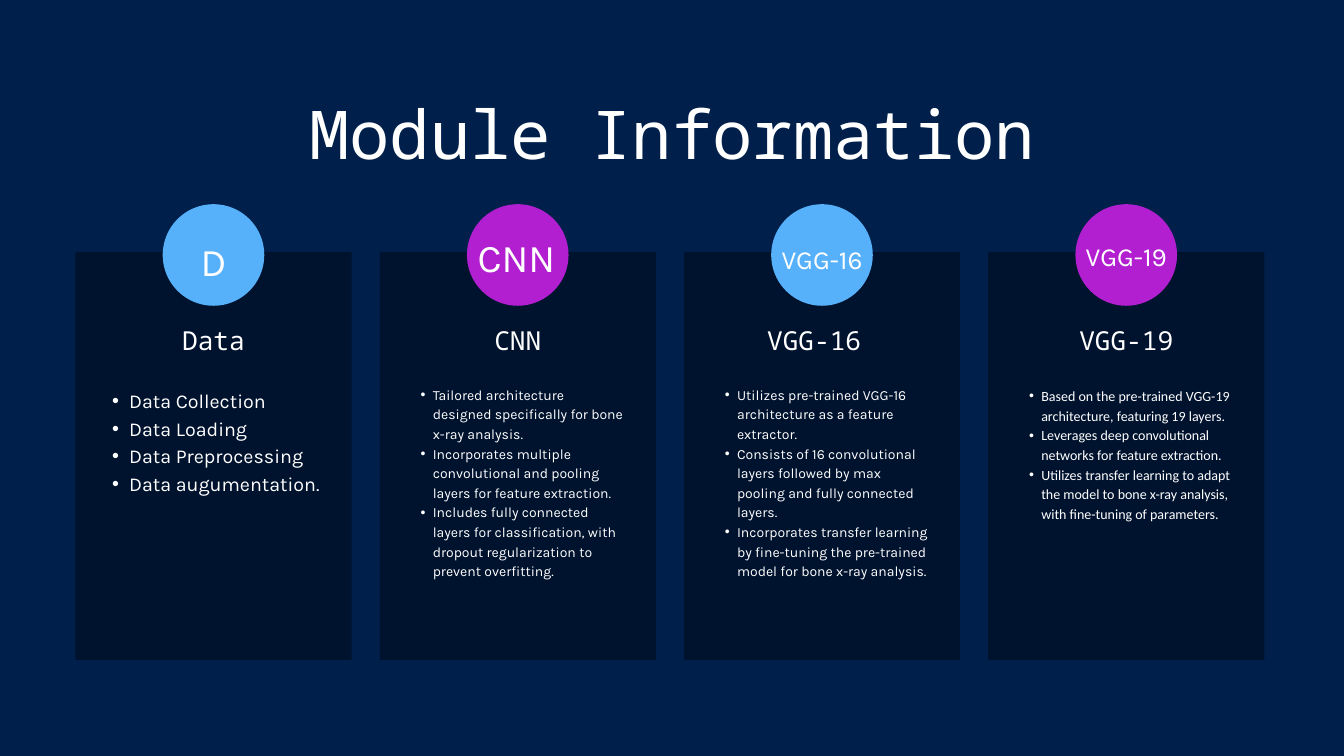
from lxml.etree import SubElement
from pptx import Presentation
from pptx.dml.color import RGBColor
from pptx.enum.shapes import MSO_SHAPE as Preset
from pptx.enum.text import PP_ALIGN as Align
from pptx.oxml.ns import qn
from pptx.util import Cm, Pt

COLORS = {
    "background": "00204B",
    "card": "000000",
    "blue": "57B1FA",
    "purple": "B21FD1",
    "text": "FFFFFF",
}
MONO = "Noto Sans Mono"
SANS = "Karla"
CARD_LEFT, CARD_TOP, CARD_WIDTH, CARD_HEIGHT = 2.85, 9.52, 10.44, 15.43
CARD_STEP = 11.5
BADGE_SIZE = 3.84
LABEL_WIDTH = 4.42

SMALL_LIST = dict(left=1.12, top=4.98, width=8.2, height=8.13,
                  size=15, spacing=21, indent=0.89, hanging=0.46)
LARGE_LIST = dict(left=0.76, top=5.03, width=8.94, height=4.09,
                  size=21.1, spacing=29.6, indent=1.27, hanging=0.64)

MODULES = [
    dict(
        heading="Data", color="blue",
        badge=dict(text="D", top=-0.84, size=42),
        body=dict(LARGE_LIST, lines=[
            "Data Collection",
            "Data Loading",
            "Data Preprocessing",
            "Data augumentation.",
        ]),
    ),
    dict(
        heading="CNN", color="purple",
        badge=dict(text="CNN", top=-0.99, size=42, shift=-0.05),
        body=dict(SMALL_LIST, lines=[
            "Tailored architecture designed specifically for bone x-ray analysis.",
            "Incorporates multiple convolutional and pooling layers for feature extraction.",
            "Includes fully connected layers for classification, with dropout "
            "regularization to prevent overfitting.",
        ]),
    ),
    dict(
        heading="VGG-16 ", color="blue",
        badge=dict(text="VGG-16", top=-0.51, size=28),
        body=dict(SMALL_LIST, lines=[
            "Utilizes pre-trained VGG-16 architecture as a feature extractor.",
            "Consists of 16 convolutional layers followed by max pooling and "
            "fully connected layers.",
            "Incorporates transfer learning by fine-tuning the pre-trained model "
            "for bone x-ray analysis.",
        ]),
    ),
    dict(
        heading="VGG-19", color="purple",
        badge=dict(text="VGG-19", top=-0.64, size=28),
        body=dict(SMALL_LIST, top=5.03, height=7.42, font="Calibri", lines=[
            "Based on the pre-trained VGG-19 architecture, featuring 19 layers.",
            "Leverages deep convolutional networks for feature extraction.",
            "Utilizes transfer learning to adapt the model to bone x-ray analysis, "
            "with fine-tuning of parameters.",
        ]),
    ),
]


def add_bullet(paragraph, indent, hanging):
    paragraph.level = 1
    properties = paragraph._p.get_or_add_pPr()
    properties.set("marL", str(Cm(indent)))
    properties.set("indent", str(Cm(-hanging)))
    SubElement(properties, qn("a:buFont"), typeface="Arial")
    SubElement(properties, qn("a:buChar"), char="•")


def add_text(slide, lines, left, top, width, height, size, font=SANS,
             spacing=None, align=Align.CENTER, indent=None, hanging=None):
    box = slide.shapes.add_textbox(Cm(left), Cm(top), Cm(width), Cm(height))
    frame = box.text_frame
    frame.word_wrap = True
    frame.margin_left = frame.margin_right = 0
    frame.margin_top = frame.margin_bottom = 0
    frame.text = "\n".join(lines)
    for paragraph in frame.paragraphs:
        paragraph.alignment = align
        paragraph.line_spacing = Pt(spacing or size * 1.4)
        if indent is not None:
            add_bullet(paragraph, indent, hanging)
        for run in paragraph.runs:
            run.font.size = Pt(size)
            run.font.name = font
            run.font.color.rgb = RGBColor.from_string(COLORS["text"])


def add_filled_shape(slide, preset, left, top, width, height, color, opacity=None):
    shape = slide.shapes.add_shape(preset, Cm(left), Cm(top), Cm(width), Cm(height))
    shape.shadow.inherit = False
    shape.fill.solid()
    shape.fill.fore_color.rgb = RGBColor.from_string(COLORS[color])
    shape.line.fill.background()
    if opacity is not None:
        fill_color = shape._element.spPr.find(".//" + qn("a:srgbClr"))
        SubElement(fill_color, qn("a:alpha"), val=str(opacity * 1000))


def add_badge(slide, center, top, color, label):
    add_filled_shape(slide, Preset.OVAL, center - BADGE_SIZE / 2, top - 1.8,
                     BADGE_SIZE, BADGE_SIZE, color)
    label_left = center - LABEL_WIDTH / 2 + label.get("shift", 0)
    add_text(slide, [label["text"]], label_left, top + label["top"],
             LABEL_WIDTH, label["size"] * 0.047, size=label["size"])


def add_module(slide, module, left, top, width, height):
    add_filled_shape(slide, Preset.RECTANGLE, left, top, width, height, "card", opacity=38)
    add_badge(slide, left + width / 2, top, module["color"], module["badge"])
    add_text(slide, [module["heading"]], left + 0.56, top + 2.54, width - 1.12, 1.47,
             size=28, font=MONO)
    body = dict(module["body"])
    body["left"] += left
    body["top"] += top
    add_text(slide, align=Align.LEFT, **body)


def main():
    presentation = Presentation()
    presentation.slide_width = Cm(50.8)
    presentation.slide_height = Cm(28.58)
    slide = presentation.slides.add_slide(presentation.slide_layouts[6])
    slide.background.fill.solid()
    slide.background.fill.fore_color.rgb = RGBColor.from_string(COLORS["background"])

    add_text(slide, ["Module Information"], 6.88, 2.97, 37.06, 3.71, size=72, font=MONO)
    for index, module in enumerate(MODULES):
        add_module(slide, module, CARD_LEFT + index * CARD_STEP, CARD_TOP,
                   CARD_WIDTH, CARD_HEIGHT)
    presentation.save("out.pptx")


if __name__ == "__main__":
    main()
